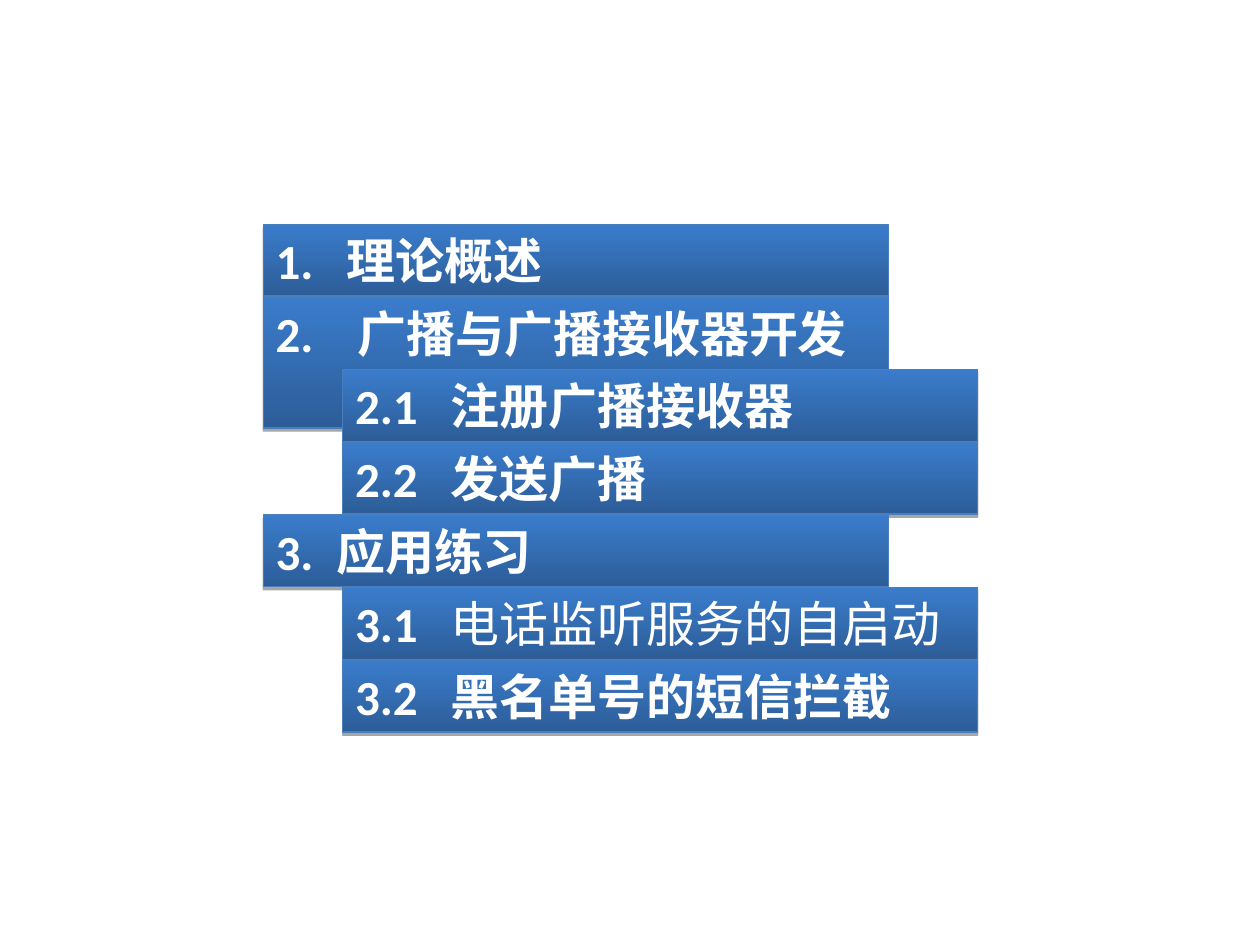
from dataclasses import dataclass

from lxml import etree
from pptx import Presentation
from pptx import util as u
from pptx.dml import color
from pptx.enum import shapes, text
from pptx.oxml import ns

TOP, LAST = 1.78, 5.24
FONT = {"name": "Calibri", "size": u.Pt(28)}
FRAME = {
    "word_wrap": True,
    "auto_size": text.MSO_AUTO_SIZE.SHAPE_TO_FIT_TEXT,
    "vertical_anchor": text.MSO_ANCHOR.TOP,
    "margin_left": u.Inches(0.1),
    "margin_right": u.Inches(0.1),
    "margin_top": u.Inches(0.05),
    "margin_bottom": u.Inches(0.05),
}


@dataclass
class Row:
    num: str
    title: str
    tab: float
    sub: bool = False
    high: float = 0.57
    bold: bool = True


ROWS = [
    Row("1.", "理论概述", 0.56),
    Row("2.", "广播与广播接收器开发", 0.65, high=1.04),
    Row("2.1", "注册广播接收器", 0.76, sub=True),
    Row("2.2", "发送广播", 0.76, sub=True),
    Row("3.", "应用练习", 0.48),
    Row("3.1", "电话监听服务的自启动", 0.76, sub=True, bold=False),
    Row("3.2", "黑名单号的短信拦截", 0.76, sub=True),
]


def rgb(code: str) -> color.RGBColor:
    return color.RGBColor.from_string(code)


def style(item, values: dict) -> None:
    for key, val in values.items():
        setattr(item, key, val)


def add_node(base, tag: str, **attrs: str):
    return etree.SubElement(base, ns.qn(tag), attrs)


def add_shade(bar) -> None:
    bar.shadow.inherit = False
    glow = add_node(
        bar._element.spPr.find(ns.qn("a:effectLst")), "a:outerShdw",
        blurRad="0", dist=str(u.Pt(1.8)), dir="5400000", rotWithShape="0",
    )
    tone = add_node(glow, "a:srgbClr", val="000000")
    add_node(tone, "a:alpha", val="35000")


def paint(bar) -> None:
    bar.fill.gradient()
    bar.fill.gradient_angle = 90
    for stop, code, place in zip(bar.fill.gradient_stops, ("2C5D98", "3A7CCB"), (0, 1)):
        stop.color.rgb = rgb(code)
        stop.position = place
    bar.line.color.rgb = rgb("4A7EBB")
    bar.line.width = u.Pt(0.75)
    add_shade(bar)


def add_row(slide, row: Row, top: float) -> None:
    left, wide = (2.72, 5.04) if row.sub else (2.09, 4.96)
    bar = slide.shapes.add_shape(
        shapes.MSO_SHAPE.RECTANGLE,
        u.Inches(left), u.Inches(top), u.Inches(wide), u.Inches(row.high),
    )
    paint(bar)
    style(bar.text_frame, FRAME)
    para = bar.text_frame.paragraphs[0]
    para.alignment = text.PP_ALIGN.LEFT
    tabs = add_node(para._p.get_or_add_pPr(), "a:tabLst")
    add_node(tabs, "a:tab", pos=str(u.Inches(row.tab)), algn="l")
    for words, bold in ((row.num + "\t", True), (row.title, row.bold)):
        run = para.add_run()
        run.text = words
        style(run.font, FONT | {"bold": bold})
        run.font.color.rgb = rgb("FFFFFF")


def main() -> None:
    deck = Presentation()
    style(deck, {"slide_width": u.Inches(10), "slide_height": u.Inches(7.5)})
    slide = deck.slides.add_slide(deck.slide_layouts[6])
    step = (LAST - TOP) / (len(ROWS) - 1)
    for i, row in enumerate(ROWS):
        add_row(slide, row, TOP + i * step)
    deck.save("out.pptx")


if __name__ == "__main__":
    main()
